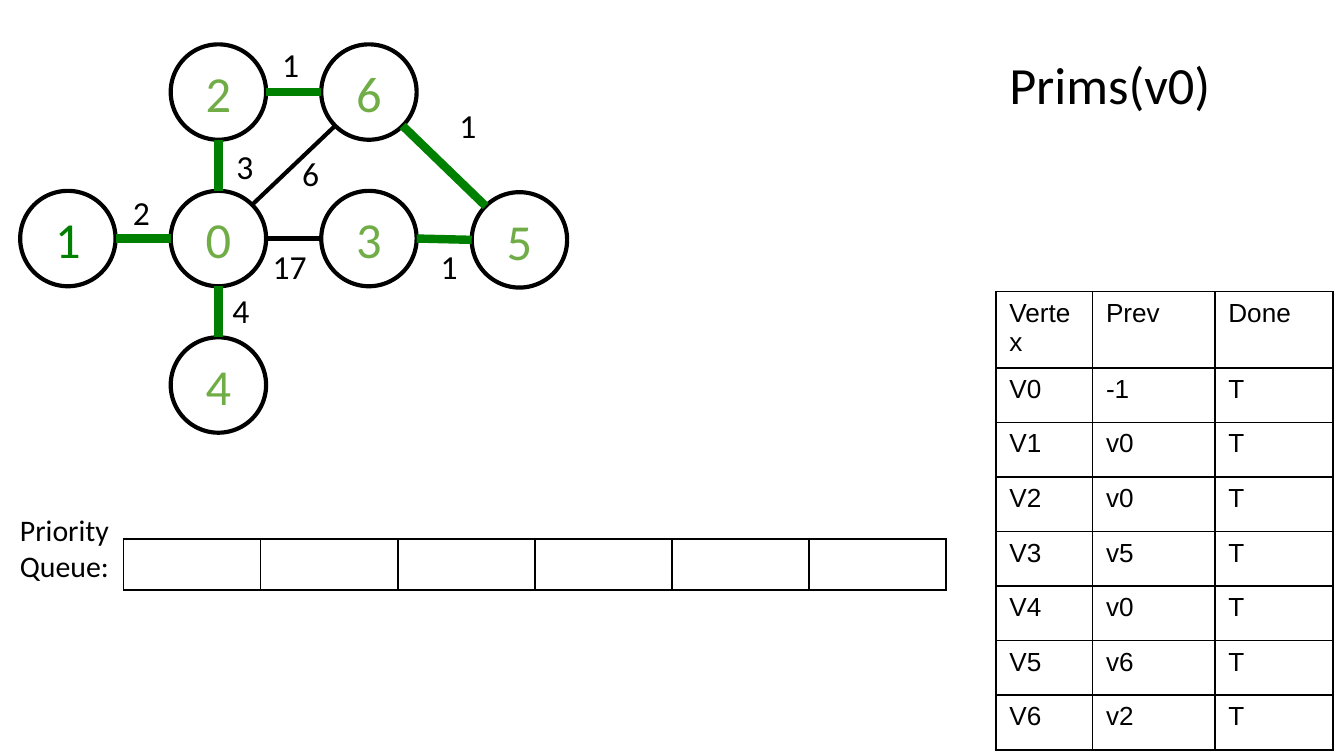
import math

from lxml import etree
from pptx import Presentation
from pptx.dml.color import RGBColor
from pptx.enum.shapes import MSO_CONNECTOR, MSO_SHAPE
from pptx.enum.text import MSO_ANCHOR, MSO_AUTO_SIZE, PP_ALIGN
from pptx.oxml.ns import qn
from pptx.util import Inches, Pt

OVAL = MSO_SHAPE.OVAL
STRAIGHT = MSO_CONNECTOR.STRAIGHT
CENTER, LEFT = PP_ALIGN.CENTER, PP_ALIGN.LEFT
TOP, MIDDLE = MSO_ANCHOR.TOP, MSO_ANCHOR.MIDDLE
NO_AUTOFIT = MSO_AUTO_SIZE.NONE

BLACK, TREE_GREEN, DONE_GREEN = "000000", "008000", "70AD47"
DIAMETER = 0.71

# Content: vertex -> (left, top, text colour)
VERTICES = {
    "0": (1.27, 1.42, DONE_GREEN),
    "1": (0.15, 1.42, TREE_GREEN),
    "2": (1.27, 0.33, DONE_GREEN),
    "3": (2.39, 1.42, DONE_GREEN),
    "4": (1.27, 2.51, DONE_GREEN),
    "5": (3.51, 1.43, DONE_GREEN),
    "6": (2.39, 0.33, DONE_GREEN),
}
# Start, end, weight, label left, label top, in spanning tree
EDGES = [
    ("1", "0", "2", 0.89, 1.38, True),
    ("0", "2", "3", 1.66, 1.04, True),
    ("0", "4", "4", 1.63, 2.11, True),
    ("2", "6", "1", 2.00, 0.28, True),
    ("5", "6", "1", 3.32, 0.73, True),
    ("3", "5", "1", 3.18, 1.78, True),
    ("0", "3", "17", 1.93, 1.78, False),
    ("0", "6", "6", 2.15, 1.09, False),
]
VERTEX_ROWS = [
    ("Vertex", "Prev", "Done"),
    ("V0", "-1", "T"),
    ("V1", "v0", "T"),
    ("V2", "v0", "T"),
    ("V3", "v5", "T"),
    ("V4", "v0", "T"),
    ("V5", "v6", "T"),
    ("V6", "v2", "T"),
]
QUEUE_ROWS = [("",) * 6]


def color(hex_value):
    return RGBColor.from_string(hex_value)


def set_text(text_frame, text, size, hex_value=BLACK, font="Calibri", align=LEFT):
    text_frame.text = text
    paragraph = text_frame.paragraphs[0]
    paragraph.alignment = align
    for run in paragraph.runs:
        run.font.size = Pt(size)
        run.font.name = font
        run.font.color.rgb = color(hex_value)


def add_label(slide, text, left, top, width, height, size):
    box = slide.shapes.add_textbox(
        Inches(left), Inches(top), Inches(width), Inches(height))
    box.text_frame.word_wrap = True
    set_text(box.text_frame, text, size)


def add_vertex(slide, name):
    left, top, text_color = VERTICES[name]
    circle = slide.shapes.add_shape(
        OVAL, Inches(left), Inches(top), Inches(DIAMETER), Inches(DIAMETER))
    circle.shadow.inherit = False
    circle.fill.background()
    circle.line.color.rgb = color(BLACK)
    circle.line.width = Pt(2.25)
    frame = circle.text_frame
    frame.vertical_anchor = MIDDLE
    frame.margin_left = frame.margin_right = Inches(0.07)
    frame.margin_top = frame.margin_bottom = Inches(0.04)
    set_text(frame, name, 27, text_color, align=CENTER)


def rim_point(name, toward):
    """Point on the circle, at the multiple of 45 degrees facing the other vertex."""
    left, top, _ = VERTICES[name]
    other_left, other_top, _ = VERTICES[toward]
    angle = math.atan2(other_top - top, other_left - left)
    angle = round(angle / (math.pi / 4)) * math.pi / 4
    radius = DIAMETER / 2
    return (Inches(left + radius + radius * math.cos(angle)),
            Inches(top + radius + radius * math.sin(angle)))


def add_edge(slide, start, end, in_tree):
    line = slide.shapes.add_connector(
        STRAIGHT, *rim_point(start, end), *rim_point(end, start))
    line.line.color.rgb = color(TREE_GREEN if in_tree else BLACK)
    line.line.width = Pt(4.5 if in_tree else 2.25)
    etree.SubElement(line._element.spPr, qn("a:effectLst"))


def add_borders(cell):
    properties = cell._tc.get_or_add_tcPr()
    for side in ("a:lnL", "a:lnR", "a:lnT", "a:lnB"):
        border = etree.SubElement(properties, qn(side), w=str(Pt(1)))
        fill = etree.SubElement(border, qn("a:solidFill"))
        etree.SubElement(fill, qn("a:srgbClr"), val=BLACK)


def add_grid(slide, rows, left, top, column_widths, height, margin):
    frame = slide.shapes.add_table(
        len(rows), len(column_widths), Inches(left), Inches(top),
        Inches(sum(column_widths)), Inches(height))
    table = frame.table
    table.first_row = table.horz_banding = False
    for column, width in zip(table.columns, column_widths):
        column.width = Inches(width)
    for row, values in zip(table.rows, rows):
        row.height = Inches(height / len(rows))
        for cell, value in zip(row.cells, values):
            cell.margin_top = cell.margin_bottom = Inches(margin)
            add_borders(cell)
            cell.fill.background()
            set_text(cell.text_frame, value, 14, font="Arial")


presentation = Presentation()
presentation.slide_width = Inches(10)
presentation.slide_height = Inches(10 * 9 / 16)
slide = presentation.slides.add_slide(presentation.slide_layouts[5])

# Title
title = slide.shapes.title
title.left, title.top = Inches(7.41), Inches(0.34)
title.width, title.height = Inches(2.09), Inches(0.57)
title.text_frame.auto_size = NO_AUTOFIT
title.text_frame.vertical_anchor = TOP
set_text(title.text_frame, "Prims(v0)", 28)

# Graph
for vertex in VERTICES:
    add_vertex(slide, vertex)
for start, end, weight, left, top, in_tree in EDGES:
    add_edge(slide, start, end, in_tree)
    add_label(slide, weight, left, top, 0.29 if len(weight) == 1 else 0.46, 0.4, 18)

# Priority queue
add_grid(slide, QUEUE_ROWS, 0.92, 4.01, [1.02] * 6, 0.29, 0.04)
add_label(slide, "Priority Queue:", 0.05, 3.76, 1.52, 0.64, 16)

# Vertex table
add_grid(slide, VERTEX_ROWS, 7.41, 2.17, [0.72, 0.91, 0.88], 3.25, 0.05)

presentation.save("out.pptx")
